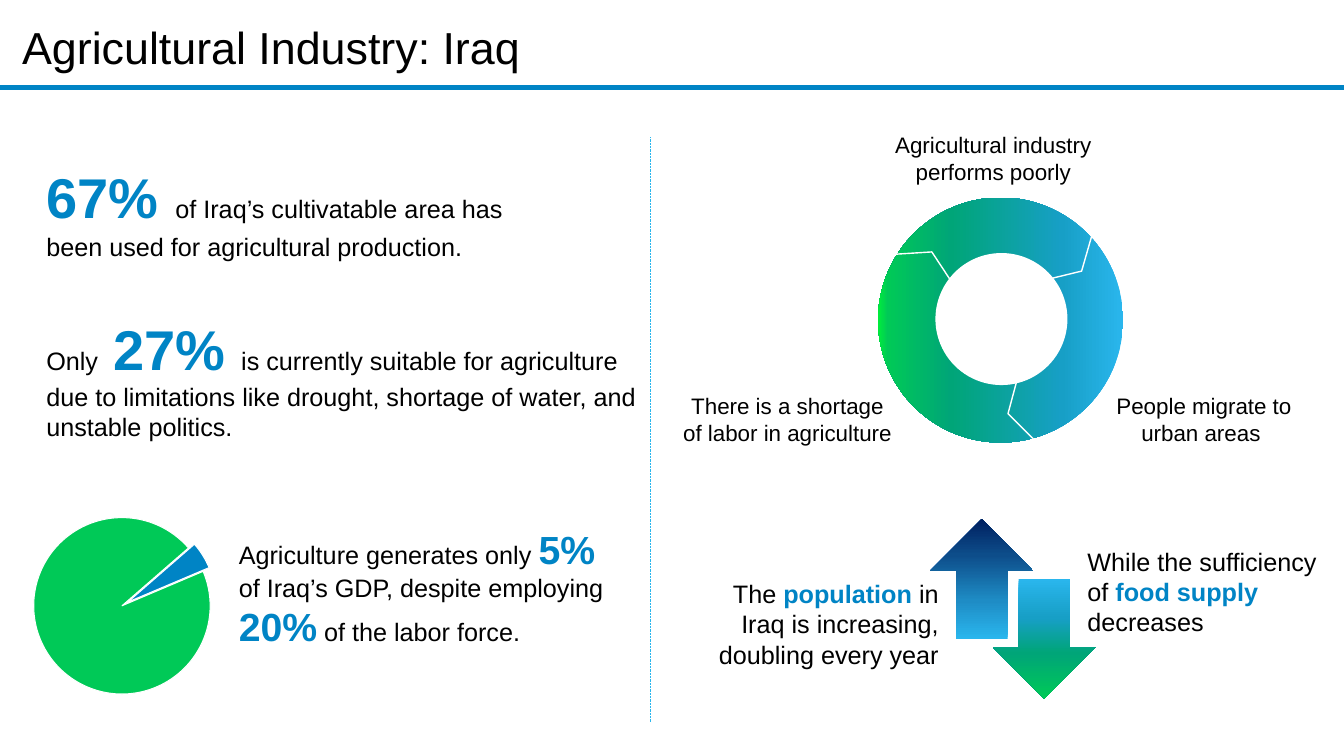
from math import cos, radians, sin

from lxml import etree
from pptx import Presentation
from pptx.chart.data import CategoryChartData
from pptx.dml.color import RGBColor
from pptx.enum.chart import XL_CHART_TYPE as ChartKind
from pptx.enum.dml import MSO_LINE as Dash
from pptx.enum.shapes import MSO_CONNECTOR as Connector, MSO_SHAPE as Preset
from pptx.enum.text import MSO_ANCHOR as Anchor, MSO_AUTO_SIZE as AutoSize, PP_ALIGN as Align
from pptx.oxml.ns import qn
from pptx.util import Pt

COLORS = {
    "black": "000000", "white": "FFFFFF", "blue": "0084C5", "sky": "2AB6ED",
    "green": "00C957", "teal": "179FC6", "jade": "00A578", "lime": "00ED3C",
    "azure": "1E8CC5", "steel": "0D4D8A", "navy": "002060",
}
FONT = "Arial"
RING_STOPS = [(0, "sky"), (25, "teal"), (70, "jade"), (96, "green"), (100, "lime")]
FOOD_STOPS = [(0, "sky"), (33, "teal"), (62, "jade"), (100, "green")]
PEOPLE_STOPS = [(0, "sky"), (32, "azure"), (70, "steel"), (100, "navy")]


def color(name):
    return RGBColor.from_string(COLORS[name])


def points(*lengths):
    return [Pt(length) for length in lengths]


def big(text, size=40):
    """A highlighted span: text, size, colour, bold."""
    return text, size, "blue", True


def write(frame, paragraphs, size=18, align=Align.LEFT, wrap=True, anchor=Anchor.TOP):
    """Fill a text frame; each paragraph is a list of plain strings or styled spans."""
    frame.word_wrap = wrap
    frame.auto_size = AutoSize.SHAPE_TO_FIT_TEXT
    frame.vertical_anchor = anchor
    for index, spans in enumerate(paragraphs):
        para = frame.paragraphs[0] if index == 0 else frame.add_paragraph()
        para.alignment = align
        for item in spans:
            text, points_high, tint, bold = (
                (item, size, "black", False) if isinstance(item, str) else item)
            span = para.add_run()
            span.text = text
            span.font.name = FONT
            span.font.size = Pt(points_high)
            span.font.bold = bold
            span.font.color.rgb = color(tint)


def add_text(page, box, *paragraphs, **style):
    write(page.shapes.add_textbox(*points(*box)).text_frame, paragraphs, **style)


def add_line(page, start, end, tint, width, dash=None):
    line = page.shapes.add_connector(Connector.STRAIGHT, *points(*start, *end))
    line.line.color.rgb = color(tint)
    line.line.width = Pt(width)
    if dash:
        line.line.dash_style = dash
    etree.SubElement(line._element.spPr, qn("a:effectLst"))


def add_shape(page, preset, box, stops=None, angle=0, turn=0):
    """Add a borderless shape, white unless gradient stops are given."""
    shape = page.shapes.add_shape(preset, *points(*box))
    shape.shadow.inherit = False
    shape.rotation = turn
    shape.line.fill.background()
    if not stops:
        shape.fill.solid()
        shape.fill.fore_color.rgb = color("white")
        return shape
    shape.fill.gradient()
    shape.fill.gradient_angle = angle
    stop_list = shape._element.spPr.find(".//" + qn("a:gsLst"))
    for old in list(stop_list):
        stop_list.remove(old)
    for percent, tint in stops:
        stop = etree.SubElement(stop_list, qn("a:gs"), pos=str(percent * 1000))
        etree.SubElement(stop, qn("a:srgbClr"), val=COLORS[tint])
    return shape


def centered(x, y, width, height):
    return x - width / 2, y - height / 2, width, height


def add_header(page, box):
    left, top, width, height = box
    title = page.shapes.title
    title.left, title.top, title.width, title.height = points(left + 8.6, top + 10.8, 377.3, 46)
    write(title.text_frame, [["Agricultural Industry: Iraq"]], size=32, wrap=False)
    add_line(page, (left, top + height), (left + width, top + height), "blue", 3.5)


def add_land_facts(page, box):
    left, top, width, height = box
    add_text(page, (left, top, 351, 82),
             [big("67%"), big(" ", 44),
              "of Iraq’s cultivatable area has been used for agricultural production."])
    add_text(page, (left, top + 112.3, width, 99),
             ["Only", big(" 27% "),
              "is currently suitable for agriculture due to limitations like drought, "
              "shortage of water, and unstable politics."])


def add_share_pie(page, box):
    data = CategoryChartData()
    data.categories = ["1", "2"]
    data.add_series("Series 1", (5, 95))
    chart = page.shapes.add_chart(ChartKind.PIE, *points(*box), data).chart
    chart.has_title = chart.has_legend = False
    chart.font.name = "Calibri"
    chart.font.size = Pt(10)
    chart.font.color.rgb = color("black")
    plot = chart.plots[0]
    plot.vary_by_categories = True
    for index, tint in enumerate(("blue", "green")):
        part = plot.series[0].points[index].format
        part.fill.solid()
        part.fill.fore_color.rgb = color(tint)
        part.line.color.rgb = color("white")
        part.line.width = Pt(0.75)

    pie = chart._chartSpace.find(".//" + qn("c:pieChart"))
    etree.SubElement(pie, qn("c:firstSliceAng"), val="49")
    slice_format = pie.find(".//" + qn("c:dPt")).find(qn("c:spPr"))
    slice_format.addprevious(slice_format.makeelement(qn("c:explosion"), val="8"))
    area = pie.getparent()
    for old in area.findall(qn("c:layout")):
        area.remove(old)
    layout = area.makeelement(qn("c:layout"))
    area.insert(0, layout)
    manual = etree.SubElement(layout, qn("c:manualLayout"))
    for tag, value in (("layoutTarget", "inner"), ("xMode", "edge"), ("yMode", "edge"),
                       ("x", "0.19"), ("y", "0.09"), ("w", "0.58"), ("h", "0.85")):
        etree.SubElement(manual, qn("c:" + tag), val=value)


def add_economy(page, box):
    left, top, width, height = box
    add_share_pie(page, (left, top, 219, height))
    add_text(page, (left + 181.5, top + 15, 297.4, 97),
             ["Agriculture generates only ", big("5%", 28), " "],
             ["of Iraq’s GDP, despite employing"],
             [big("20%", 28), " of the labor force."])


def add_cycle(page, box):
    left, top, width, height = box
    x, y = left + 236.7, top + 138.6
    add_shape(page, Preset.OVAL, centered(x, y, 175, 175), RING_STOPS, turn=180)
    add_shape(page, Preset.OVAL, centered(x + 0.6, y - 0.7, 94.3, 94.3))
    for place, turn in ((-43.5, 46.2), (73, 164.9), (212.7, 296.5)):
        middle = x + 66 * cos(radians(place)), y + 66 * sin(radians(place))
        chevron = add_shape(page, Preset.CHEVRON, centered(*middle, 29, 100), turn=turn)
        chevron.adjustments[0] = 1
        chevron.line.color.rgb = color("white")
        chevron.line.width = Pt(1)
    for offset_x, offset_y, label_width, label in (
            (149, 0, 165, "Agricultural industry performs poorly"),
            (307.5, 186.5, 149, "People migrate to urban areas "),
            (0, 186.5, 169, "There is a shortage of labor in agriculture")):
        add_text(page, (left + offset_x, top + offset_y, label_width, 46), [label],
                 size=16, align=Align.CENTER)


def add_trends(page, box):
    left, top, width, height = box
    add_shape(page, Preset.DOWN_ARROW, (left + 228.2, top + 42.5, 73.4, 85.7),
              FOOD_STOPS, angle=270)
    add_shape(page, Preset.DOWN_ARROW, (left + 183.6, top, 73.4, 85.7),
              PEOPLE_STOPS, angle=270, turn=180)
    add_text(page, (left + 288.7, top + 15.8, 188, 73),
             ["While the sufficiency of ", big("food supply", 18), " decreases"])
    add_text(page, (left, top + 38.9, 196.6, 73),
             ["The ", big("population", 18), " in Iraq is increasing, doubling every year"],
             align=Align.RIGHT)


def main():
    deck = Presentation()
    deck.slide_width, deck.slide_height = points(960, 540)
    page = deck.slides.add_slide(deck.slide_layouts[5])
    add_header(page, (0, 0, 960, 62.6))
    add_land_facts(page, (26, 108.7, 437, 211))
    add_economy(page, (-18, 356.4, 479, 148.3))
    add_line(page, (464.4, 98), (464.4, 516.2), "sky", 0.5, Dash.ROUND_DOT)
    add_cycle(page, (478, 90, 457, 233))
    add_trends(page, (481, 370.8, 477, 128.2))
    deck.save("out.pptx")


if __name__ == "__main__":
    main()
